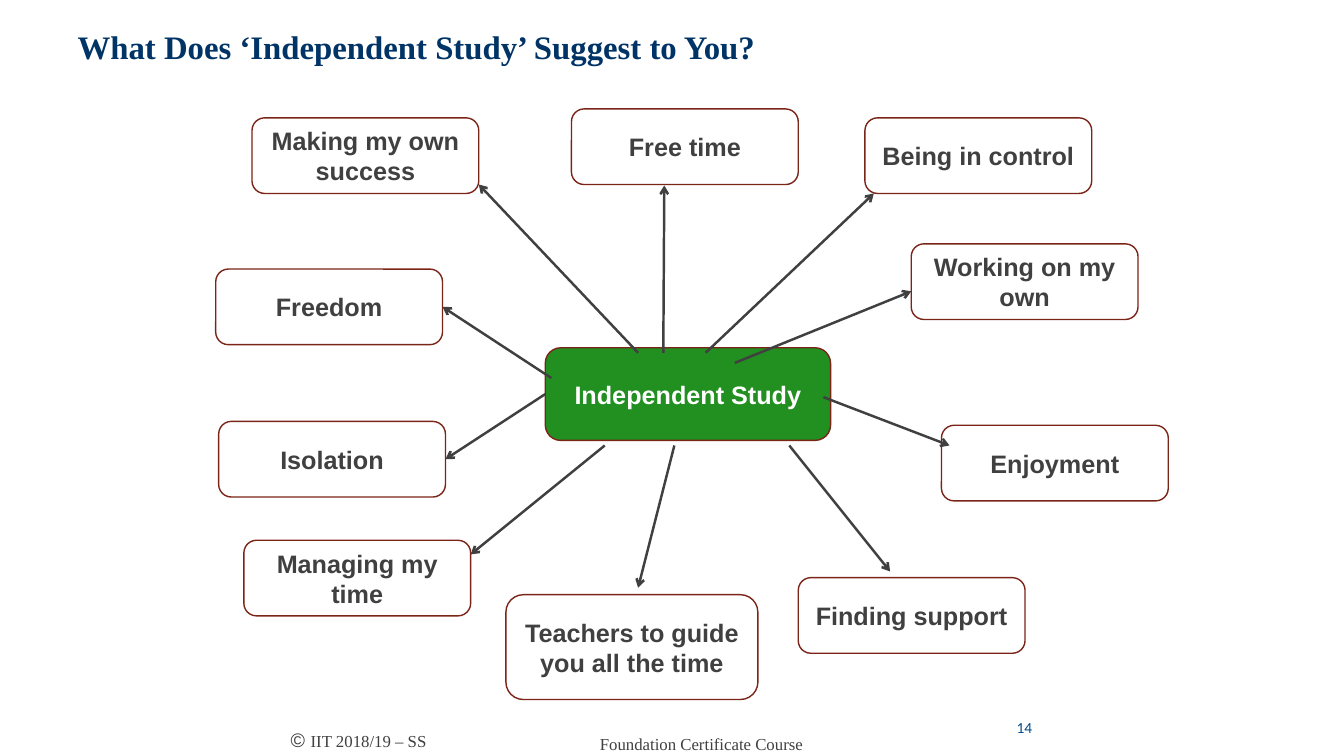
from lxml.etree import SubElement
from pptx import Presentation
from pptx.dml.color import RGBColor
from pptx.enum.shapes import MSO_CONNECTOR, MSO_SHAPE
from pptx.enum.text import MSO_ANCHOR, MSO_AUTO_SIZE, PP_ALIGN
from pptx.oxml.ns import qn
from pptx.util import Pt

COLORS = {"title": "003366", "hub": "008000", "border": "7B2418", "ink": "404040",
          "white": "FFFFFF", "number": "014B89"}
SERIF, SANS = "Times New Roman", "Arial"
IDEA_SIZE = (162, 54)
RIGHT, LEFT = 3, 1

# text, left and top, size, arrow start, arrow end
IDEAS = [
    ("Free time", (408.2, 77.8), IDEA_SIZE, (473.8, 252), (474.5, 132.5)),
    ("Being in control", (617.8, 84.2), IDEA_SIZE, (504, 252), (624.2, 138.2)),
    ("Working on my own", (650.9, 174.2), IDEA_SIZE, (524.9, 259.2), (650.9, 208.1)),
    ("Enjoyment", (672.5, 303.8), IDEA_SIZE, (588.2, 283.7), (678.2, 318.2)),
    ("Finding support", (570.2, 412.6), IDEA_SIZE, (563.8, 318.2), (635.8, 408.2)),
    ("Managing my time", (174.2, 385.9), IDEA_SIZE, (432, 318.2), (336.2, 396)),
    ("Freedom", (154.1, 192.2), IDEA_SIZE, (393.8, 270), (316.1, 219.2)),
    ("Isolation", (156.2, 301), IDEA_SIZE, (389.5, 281.5), (318.2, 328)),
    ("Teachers to guide you all the time", (361.4, 424.8), (180, 74.9),
     (481.7, 318.2), (455.8, 419.8)),
    ("Making my own success", (180, 84.2), IDEA_SIZE, (455.8, 252), (342, 131.8)),
]


def rgb(name):
    return RGBColor.from_string(COLORS[name])


class MindMap:
    def __init__(self, prs):
        self.slide = prs.slides.add_slide(prs.slide_layouts[5])
        self.shapes = self.slide.shapes

    def style(self, r, size, font, color, bold=False):
        r.font.size, r.font.name, r.font.bold = Pt(size), font, bold
        r.font.color.rgb = rgb(color)

    def title(self, text, left, top, width, height):
        sp = self.shapes.title
        sp.left, sp.top, sp.width, sp.height = map(Pt, (left, top, width, height))
        tf = sp.text_frame
        tf.text = text
        tf.auto_size = MSO_AUTO_SIZE.NONE
        tf.vertical_anchor = MSO_ANCHOR.BOTTOM
        p = tf.paragraphs[0]
        p.alignment, p.line_spacing = PP_ALIGN.LEFT, 0.9
        self.style(p.runs[0], 23.4, SERIF, "title", True)

    def box(self, text, place, size, fill="white", color="ink", alpha=None):
        """Add a rounded box; alpha is the fill's opacity in percent."""
        sp = self.shapes.add_shape(MSO_SHAPE.ROUNDED_RECTANGLE, *map(Pt, place + size))
        sp.shadow.inherit = False
        sp.fill.solid()
        sp.fill.fore_color.rgb = rgb(fill)
        if alpha:
            clr = sp.fill._xPr.find(qn("a:solidFill"))[0]
            SubElement(clr, qn("a:alpha"), val=str(alpha * 1000))
        sp.line.color.rgb = rgb("border")
        sp.line.width = Pt(1)
        tf = sp.text_frame
        tf.text = text
        tf.word_wrap = True
        tf.vertical_anchor = MSO_ANCHOR.MIDDLE
        p = tf.paragraphs[0]
        p.alignment = PP_ALIGN.CENTER
        self.style(p.runs[0], 18, SANS, color, True)
        return sp

    def arrow(self, start, end):
        cxn = self.shapes.add_connector(MSO_CONNECTOR.STRAIGHT, *map(Pt, start + end))
        cxn.line.color.rgb = rgb("ink")
        cxn.line.width = Pt(1.75)
        SubElement(cxn.line._get_or_add_ln(), qn("a:tailEnd"), type="arrow")
        SubElement(cxn._element.spPr, qn("a:effectLst"))
        return cxn

    def label(self, runs, place, size, align, anchor=MSO_ANCHOR.TOP):
        """Add a text box; runs holds (text, size, font, color) tuples."""
        tf = self.shapes.add_textbox(*map(Pt, place + size)).text_frame
        tf.word_wrap = True
        tf.vertical_anchor = anchor
        p = tf.paragraphs[0]
        p.alignment = align
        for text, *look in runs:
            r = p.add_run()
            r.text = text
            self.style(r, *look)


def main():
    prs = Presentation()
    prs.slide_width, prs.slide_height = Pt(960), Pt(540)
    s = MindMap(prs)
    s.title("What Does ‘Independent Study’ Suggest to You?", 48.2, 18, 864, 33.1)
    s.label([("14", 11, "Calibri", "number")], (678.2, 505.4), (66.2, 28.8),
            PP_ALIGN.RIGHT, MSO_ANCHOR.MIDDLE)

    hub = s.box("Independent Study", (389.5, 248.4), (203.8, 66.2), "hub", "white", 87)
    boxes = {text: s.box(text, place, size) for text, place, size, *_ in IDEAS}
    arrows = {text: s.arrow(start, end) for text, _, _, start, end in IDEAS}
    for text in ("Freedom", "Isolation"):
        arrows[text].end_connect(boxes[text], RIGHT)
    arrows["Isolation"].begin_connect(hub, LEFT)

    s.label([("Foundation Certificate Course", 12, SERIF, "ink")],
            (378, 520.6), (246.2, 19.4), PP_ALIGN.CENTER)
    s.label([("© ", 14, SANS, "ink"), ("IIT 2018/19 – SS", 12, SERIF, "ink")],
            (144, 516.2), (167.8, 23.8), PP_ALIGN.RIGHT)
    prs.save("out.pptx")


if __name__ == "__main__":
    main()
